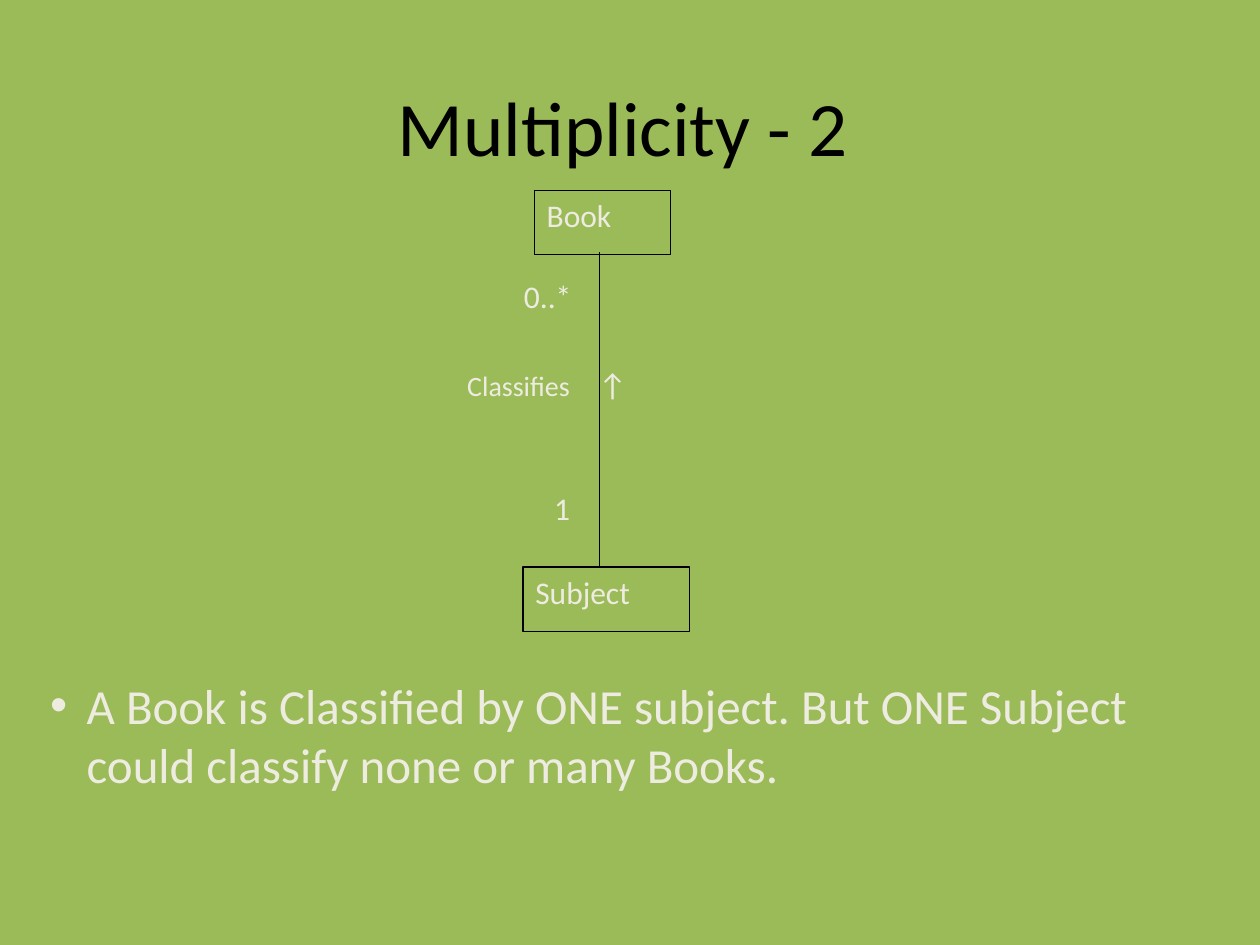
from lxml.etree import SubElement
from pptx import Presentation
from pptx.dml.color import RGBColor
from pptx.enum.shapes import MSO_CONNECTOR, MSO_SHAPE
from pptx.enum.text import MSO_ANCHOR, PP_ALIGN
from pptx.oxml.ns import qn
from pptx.util import Inches, Pt

GREEN, CREAM, BLACK = "9BBB59", "EEECE1", "000000"


def rgb(value):
    return RGBColor.from_string(value)


def write(sp, text, size=18, color=CREAM, anchor=MSO_ANCHOR.TOP, align=PP_ALIGN.LEFT):
    """Fill a shape with one paragraph and return that paragraph."""
    tf = sp.text_frame
    tf.word_wrap = True
    tf.vertical_anchor = anchor
    p = tf.paragraphs[0]
    p.alignment = align
    r = p.add_run()
    r.text = text
    for name, value in {"name": "Calibri", "size": Pt(size)}.items():
        setattr(r.font, name, value)
    r.font.color.rgb = rgb(color)
    return p


prs = Presentation()
prs.slide_width, prs.slide_height = Inches(10), Inches(7.5)
s = prs.slides.add_slide(prs.slide_layouts[6])
s.background.fill.solid()
s.background.fill.fore_color.rgb = rgb(GREEN)

# Title
title = s.shapes.add_textbox(Inches(0.14), Inches(0.37), Inches(9.61), Inches(1.25))
write(title, "Multiplicity - 2", 44, BLACK, MSO_ANCHOR.MIDDLE, PP_ALIGN.CENTER)

# Class boxes
for name, left, top, width in [("Book", 4.24, 1.51, 1.08), ("Subject", 4.15, 4.5, 1.32)]:
    sp = s.shapes.add_shape(MSO_SHAPE.RECTANGLE, Inches(left), Inches(top),
                            Inches(width), Inches(0.51))
    sp.shadow.inherit = False
    sp.fill.background()
    sp.line.color.rgb = rgb(BLACK)
    sp.line.width = Pt(0.75)
    write(sp, name)

# Association line
line = s.shapes.add_connector(MSO_CONNECTOR.STRAIGHT, Inches(4.76), Inches(2),
                              Inches(4.76), Inches(4.5))
line.line.color.rgb = rgb(BLACK)
line.line.width = Pt(0.75)
SubElement(line._element.spPr, qn("a:effectLst"))

# Association name, with a tab stop that puts the arrow beside the line
label = s.shapes.add_textbox(Inches(3.61), Inches(2.85), Inches(1.78), Inches(0.51))
p = write(label, "Classifies\t", 16)
tabs = SubElement(p._p.get_or_add_pPr(), qn("a:tabLst"))
SubElement(tabs, qn("a:tab"), pos=str(Inches(1.04)), algn="l")
write(label, "↑")

# Multiplicities
for text, left, top, width in [("0..*", 4.06, 2.15, 0.7), ("1", 4.3, 3.83, 0.39)]:
    write(s.shapes.add_textbox(Inches(left), Inches(top), Inches(width), Inches(0.5)), text)

# Explanation
note = s.shapes.add_textbox(Inches(0.2), Inches(5.31), Inches(9.53), Inches(1.04))
p = write(note, "A Book is Classified by ONE subject. "
                "But ONE Subject could classify none or many Books.", 28)
pPr = p._p.get_or_add_pPr()
pPr.set("marL", str(Inches(0.39)))
pPr.set("indent", str(Inches(-0.29)))
SubElement(pPr, qn("a:buFont"), typeface="Arial")
SubElement(pPr, qn("a:buChar"), char="•")

prs.save("out.pptx")
